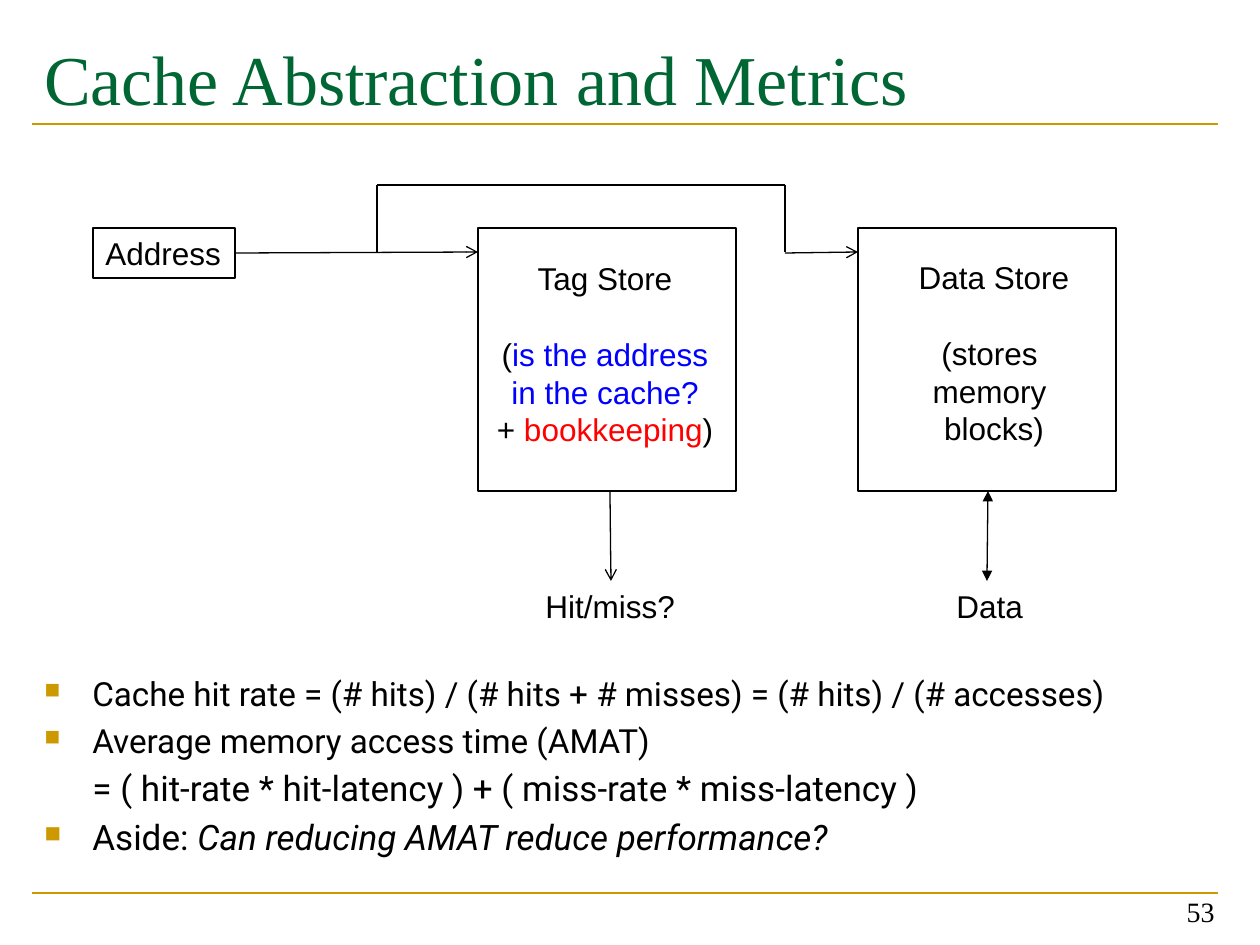
"""Build the cache abstraction and metrics slide."""
from lxml import etree
from pptx import Presentation
from pptx.dml.color import RGBColor
from pptx.enum.shapes import MSO_CONNECTOR, MSO_SHAPE
from pptx.enum.text import MSO_ANCHOR, PP_ALIGN
from pptx.oxml.ns import qn
from pptx.util import Emu, Pt

STRAIGHT = MSO_CONNECTOR.STRAIGHT
RECTANGLE = MSO_SHAPE.RECTANGLE
TOP, BOTTOM = MSO_ANCHOR.TOP, MSO_ANCHOR.BOTTOM
LEFT, CENTER, RIGHT = PP_ALIGN.LEFT, PP_ALIGN.CENTER, PP_ALIGN.RIGHT

BLACK = RGBColor(0x00, 0x00, 0x00)
GREEN = RGBColor(0x00, 0x66, 0x33)
GOLD = RGBColor(0xCC, 0x99, 0x00)
BLUE = RGBColor(0x00, 0x00, 0xFF)
RED = RGBColor(0xFF, 0x00, 0x00)

PX = 914400 / 126
LABEL_PITCH = Pt(21.6)
BULLET_INDENT = 48

RULES = [(32, 1218, 124), (32, 1218, 893)]
BOXES = [(93, 228, 142, 50), (478, 228, 258, 263), (858, 228, 258, 263)]

ARROW, DOUBLE = {"tailEnd": "arrow"}, {"headEnd": "triangle", "tailEnd": "triangle"}
WIRES = [
    ((235, 253), (478, 252), ARROW),
    ((377, 252), (377, 185), {}),
    ((377, 185), (785, 185), {}),
    ((785, 185), (785, 252), {}),
    ((785, 253), (858, 252), ARROW),
    ((610, 491), (611, 581), ARROW),
    ((988, 491), (987, 581), DOUBLE),
]

LABELS = [
    ((93, 228, 142, 50), LEFT, [[("Address", BLACK)]]),
    ((474, 253, 262, 204), CENTER, [
        [("Tag Store", BLACK)],
        [("(", BLACK), ("is the address", BLUE)],
        [("in the cache?", BLUE)],
        [("+ ", BLACK), ("bookkeeping", RED), (")", BLACK)],
    ]),
    ((905, 252, 178, 204), CENTER, [
        [("Data Store", BLACK)],
        [("(stores ", BLACK)],
        [("memory ", BLACK)],
        [("blocks)", BLACK)],
    ]),
    ((533, 581, 156, 50), LEFT, [[("Hit/miss?", BLACK)]]),
    ((944, 581, 93, 50), LEFT, [[("Data", BLACK)]]),
]

METRICS = [
    (True, 19, [("Cache hit rate = (# hits) / (# hits + # misses) = (# hits) / (# accesses)", False)]),
    (True, 19, [("Average memory access time (AMAT)", False)]),
    (False, 20, [("= ( hit-rate * hit-latency ) + ( miss-rate * miss-latency )", False)]),
    (True, 20, [("Aside: ", False), ("Can reducing AMAT reduce performance?", True)]),
]


def px(value):
    return Emu(round(value * PX))


def add_line(slide, start, end, color, width, ends):
    line = slide.shapes.add_connector(STRAIGHT, *map(px, start + end))
    line.line.color.rgb = color
    line.line.width = Pt(width)
    outline = line.line._get_or_add_ln()
    for name, kind in ends.items():
        etree.SubElement(outline, qn(f"a:{name}"), type=kind)
    etree.SubElement(line._element.spPr, qn("a:effectLst"))


def add_box(slide, bounds):
    shape = slide.shapes.add_shape(RECTANGLE, *map(px, bounds))
    shape.shadow.inherit = False
    shape.fill.background()
    shape.line.color.rgb = BLACK
    shape.line.width = Pt(0.75)


def add_text(slide, bounds, wrap=True, anchor=TOP):
    frame = slide.shapes.add_textbox(*map(px, bounds)).text_frame
    frame.word_wrap = wrap
    frame.vertical_anchor = anchor
    return frame


def next_paragraph(frame, index, **formats):
    paragraph = frame.add_paragraph() if index else frame.paragraphs[0]
    for name, value in formats.items():
        setattr(paragraph, name, value)
    return paragraph


def add_run(paragraph, text, face, size, color, italic=False):
    run = paragraph.add_run()
    run.text = text
    run.font.color.rgb = color
    for name, value in {"name": face, "size": Pt(size), "italic": italic}.items():
        setattr(run.font, name, value)


def set_bullet(paragraph, bulleted):
    properties = paragraph._p.get_or_add_pPr()
    properties.set("marL", str(px(BULLET_INDENT)))
    properties.set("indent", str(-px(BULLET_INDENT) if bulleted else 0))
    if bulleted:
        color = etree.SubElement(properties, qn("a:buClr"))
        etree.SubElement(color, qn("a:srgbClr"), val=str(GOLD))
        etree.SubElement(properties, qn("a:buSzPct"), val="65000")
        etree.SubElement(properties, qn("a:buChar"), char="■")
    else:
        etree.SubElement(properties, qn("a:buNone"))


def add_label(slide, bounds, alignment, lines):
    frame = add_text(slide, bounds, wrap=False)
    for index, runs in enumerate(lines):
        gap = LABEL_PITCH if index == 1 else 0
        paragraph = next_paragraph(frame, index, alignment=alignment,
                                   line_spacing=LABEL_PITCH, space_before=gap)
        for text, color in runs:
            add_run(paragraph, text, "Arial", 18, color)


def add_metrics(slide):
    frame = add_text(slide, (32, 667, 1187, 200))
    for index, (bulleted, size, runs) in enumerate(METRICS):
        paragraph = next_paragraph(frame, index, space_before=Pt(4 if index else 0))
        set_bullet(paragraph, bulleted)
        for text, italic in runs:
            add_run(paragraph, text, "Roboto", size, BLACK, italic)


def main():
    presentation = Presentation()
    presentation.slide_width, presentation.slide_height = px(1260), px(945)
    slide = presentation.slides.add_slide(presentation.slide_layouts[6])
    for left, right, height in RULES:
        add_line(slide, (left, height), (right, height), GOLD, 1.5, {})
    title = add_text(slide, (32, 29, 1187, 93))
    add_run(title.paragraphs[0], "Cache Abstraction and Metrics", "Times New Roman", 40, GREEN)
    add_metrics(slide)
    number = add_text(slide, (934, 871, 293, 63), anchor=BOTTOM)
    add_run(next_paragraph(number, 0, alignment=RIGHT), "53", "Times New Roman", 16, BLACK)
    for bounds in BOXES:
        add_box(slide, bounds)
    for start, end, ends in WIRES:
        add_line(slide, start, end, BLACK, 0.75, ends)
    for bounds, alignment, lines in LABELS:
        add_label(slide, bounds, alignment, lines)
    presentation.save("out.pptx")


if __name__ == "__main__":
    main()
